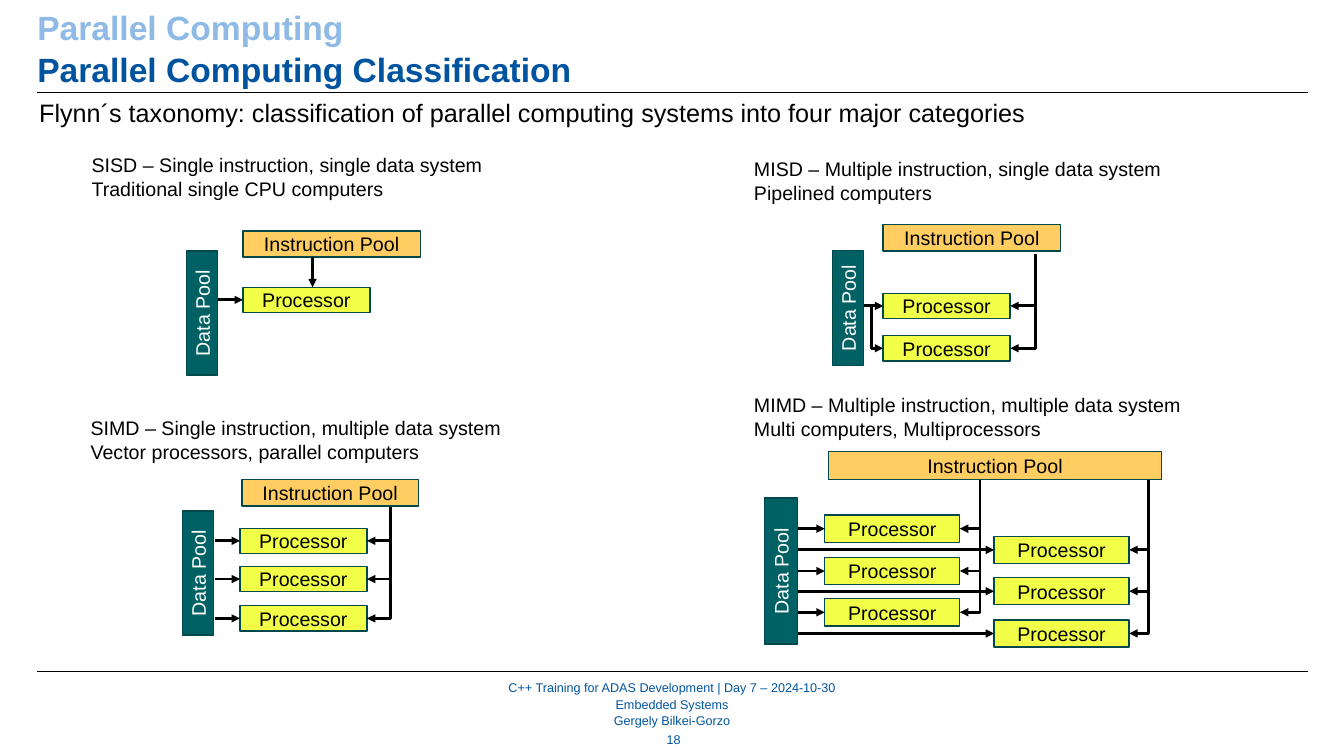
from dataclasses import dataclass
from typing import NamedTuple

from pptx import Presentation
from pptx.dml.color import RGBColor as Rgb
from pptx.enum.shapes import MSO_CONNECTOR as Link, MSO_SHAPE as Form
from pptx.enum.text import MSO_ANCHOR as Anchor, MSO_AUTO_SIZE as Fit, PP_ALIGN as Align
from pptx.oxml.ns import qn
from pptx.util import Pt
from lxml.etree import SubElement

SCALE = 9144  # EMU per px, 100 px to the inch
LEFT, RIGHT = 1, 3  # rectangle connection sites


@dataclass(frozen=True)
class Theme:
    font: str = "Arial"
    black: str = "000000"
    white: str = "FFFFFF"
    blue: str = "00549F"
    pale: str = "8EBAE5"
    teal: str = "006165"
    edge: str = "00484B"
    amber: str = "FFCD61"
    lime: str = "F1FF48"
    title: int = 24
    lead: int = 18
    text: int = 14
    foot: int = 9


THEME = Theme()


class Box(NamedTuple):
    x: int
    y: int
    w: int
    h: int


class Spot(NamedTuple):
    x: int
    y: int


class Column(NamedTuple):
    """Stack of processors, fed with data on the left and by a bus on the right."""
    x: int
    tops: tuple[int, ...]
    w: int
    h: int
    feed: int
    bus: Spot | None = None
    branch: int | None = None  # x where later processors tap the first data feed


class Panel(NamedTuple):
    lines: tuple[str, str]
    head: Box
    data: Box  # before its quarter turn
    code: Box
    columns: tuple[Column, ...]
    drop: tuple[Spot, Spot] | None = None


PANELS = (
    Panel(("SISD – Single instruction, single data system", "Traditional single CPU computers"),
          Box(81, 147, 410, 88), Box(139, 295, 123, 31), Box(241, 229, 176, 26),
          (Column(241, (285,), 126, 25, 216),), (Spot(310, 255), Spot(310, 285))),
    Panel(("MISD – Multiple instruction, single data system", "Pipelined computers"),
          Box(738, 151, 426, 88), Box(784, 290, 114, 31), Box(876, 223, 176, 26),
          (Column(876, (291, 333), 126, 25, 857, Spot(1027, 252), 864),)),
    Panel(("SIMD – Single instruction, multiple data system", "Vector processors, parallel computers"),
          Box(80, 408, 430, 88), Box(135, 553, 123, 31), Box(240, 476, 175, 26),
          (Column(238, (524, 562, 601), 126, 25, 213, Spot(387, 503)),)),
    Panel(("MIMD – Multiple instruction, multiple data system", "Multi computers, Multiprocessors"),
          Box(738, 385, 446, 88), Box(702, 550, 145, 33), Box(822, 448, 330, 28),
          (Column(818, (511, 553, 594), 134, 27, 791, Spot(972, 476)),
           Column(986, (532, 573, 615), 134, 27, 791, Spot(1139, 476)))),
)


def emu(*sizes: int) -> list[int]:
    return [size * SCALE for size in sizes]


# Text
def write(frame, lines, size: int, *tints: str, align=Align.LEFT, bold=False) -> None:
    """One paragraph a line; the last tint serves any further lines."""
    for i, line in enumerate(lines):
        para = frame.paragraphs[0] if i == 0 else frame.add_paragraph()
        para.alignment = align
        run = para.add_run()
        run.text = line
        font = run.font
        font.name, font.size, font.bold = THEME.font, Pt(size), bold
        font.color.rgb = Rgb.from_string(tints[min(i, len(tints) - 1)])


def strip(frame) -> None:
    frame.margin_left = frame.margin_top = frame.margin_right = frame.margin_bottom = 0


def label(shapes, box: Box, lines, size: int, tint: str, align=Align.LEFT, anchor=Anchor.TOP):
    frame = shapes.add_textbox(*emu(*box)).text_frame
    frame.word_wrap = True
    frame.vertical_anchor = anchor
    write(frame, lines, size, tint, align=align)
    return frame


# Boxes and lines
def block(shapes, box: Box, text: str, fill: str, tint: str = THEME.black):
    shape = shapes.add_shape(Form.RECTANGLE, *emu(*box))
    shape.shadow.inherit = False
    shape.fill.solid()
    shape.fill.fore_color.rgb = Rgb.from_string(fill)
    shape.line.color.rgb = Rgb.from_string(THEME.edge)
    shape.line.width = Pt(1)
    shape.text_frame.vertical_anchor = Anchor.MIDDLE
    write(shape.text_frame, [text], THEME.text, tint, align=Align.CENTER)
    return shape


def rule(shapes, ends: list[int], width: float, kind=Link.STRAIGHT):
    wire = shapes.add_connector(kind, *ends)
    wire.line.color.rgb = Rgb.from_string(THEME.black)
    wire.line.width = Pt(width)
    SubElement(wire._element.spPr, qn("a:effectLst"))
    return wire


def tip(wire, end: str) -> None:
    SubElement(wire._element.spPr.find(qn("a:ln")), qn(f"a:{end}")).set("type", "triangle")


def feed(shapes, x: int, goal, side: int, y: int | None = None) -> None:
    """Arrow from x to one side of a processor, with one bend if it starts at height y."""
    mid = goal.top + goal.height // 2
    edge = goal.left + (goal.width if side == RIGHT else 0)
    start = x * SCALE
    if y is None:
        wire = rule(shapes, [start, mid, edge, mid], 2)
        wire.end_connect(goal, side)
        tip(wire, "tailEnd")
    else:
        wire = rule(shapes, [edge, mid, start, y], 2, Link.ELBOW)
        wire.begin_connect(goal, side)
        wire._element.spPr.find(qn("a:prstGeom")).set("prst", "bentConnector2")
        tip(wire, "headEnd")


# Diagrams
def stack(shapes, col: Column) -> None:
    procs = [block(shapes, Box(col.x, top, col.w, col.h), "Processor", THEME.lime)
             for top in col.tops]
    first, last = procs[0], procs[-1]
    for proc in procs:
        if col.branch and proc is not first:
            feed(shapes, col.branch, proc, LEFT, first.top + first.height // 2)
        else:
            feed(shapes, col.feed, proc, LEFT)
        if col.bus:
            feed(shapes, col.bus.x, proc, RIGHT, col.bus.y * SCALE if proc is last else None)


def draw(shapes, panel: Panel) -> None:
    label(shapes, panel.head, panel.lines, THEME.text, THEME.black)
    group = shapes.add_group_shape().shapes
    block(group, panel.data, "Data Pool", THEME.teal, THEME.white).rotation = 270
    block(group, panel.code, "Instruction Pool", THEME.amber)
    for col in panel.columns:
        stack(group, col)
    if panel.drop:
        start, end = panel.drop
        tip(rule(group, emu(*start, *end), 2), "tailEnd")


def main() -> None:
    deck = Presentation()
    deck.slide_width, deck.slide_height = emu(1333, 750)
    shapes = deck.slides.add_slide(deck.slide_layouts[5]).shapes

    # Title
    title = shapes.title
    title.left, title.top, title.width, title.height = emu(37, 7, 1260, 81)
    frame = title.text_frame
    strip(frame)
    frame.auto_size, frame.vertical_anchor = Fit.NONE, Anchor.TOP
    write(frame, ["Parallel Computing", "Parallel Computing Classification"],
          THEME.title, THEME.pale, THEME.blue, bold=True)
    for para in frame.paragraphs:
        para.space_before = Pt(1)

    # Rules above and below the content
    for y in (92, 666):
        rule(shapes, emu(37, y, 1297, y), 0.5)

    # Content
    label(shapes, Box(29, 92, 1008, 40),
          ["Flynn´s taxonomy: classification of parallel computing systems into four major categories"],
          THEME.lead, THEME.black)
    for panel in PANELS:
        draw(shapes, panel)

    # Footer and page number
    foot = label(shapes, Box(343, 675, 647, 46),
                 ["C++ Training for ADAS Development | Day 7 – 2024-10-30",
                  "Embedded Systems", "Gergely Bilkei-Gorzo"],
                 THEME.foot, THEME.blue, Align.CENTER, Anchor.MIDDLE)
    strip(foot)
    for para in foot.paragraphs:
        para.line_spacing = 1.07
    label(shapes, Box(642, 721, 52, 26), ["18"], THEME.foot, THEME.blue,
          Align.CENTER, Anchor.MIDDLE)

    deck.save("out.pptx")


if __name__ == "__main__":
    main()
